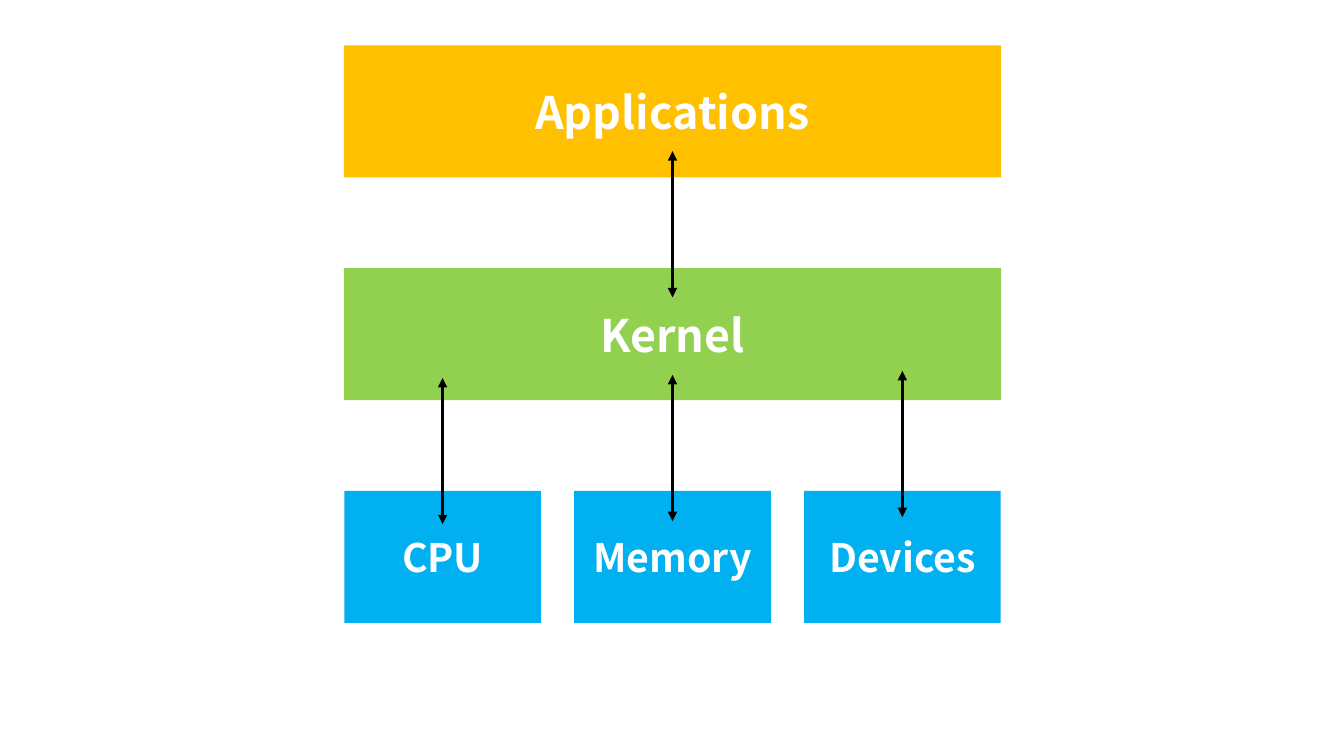
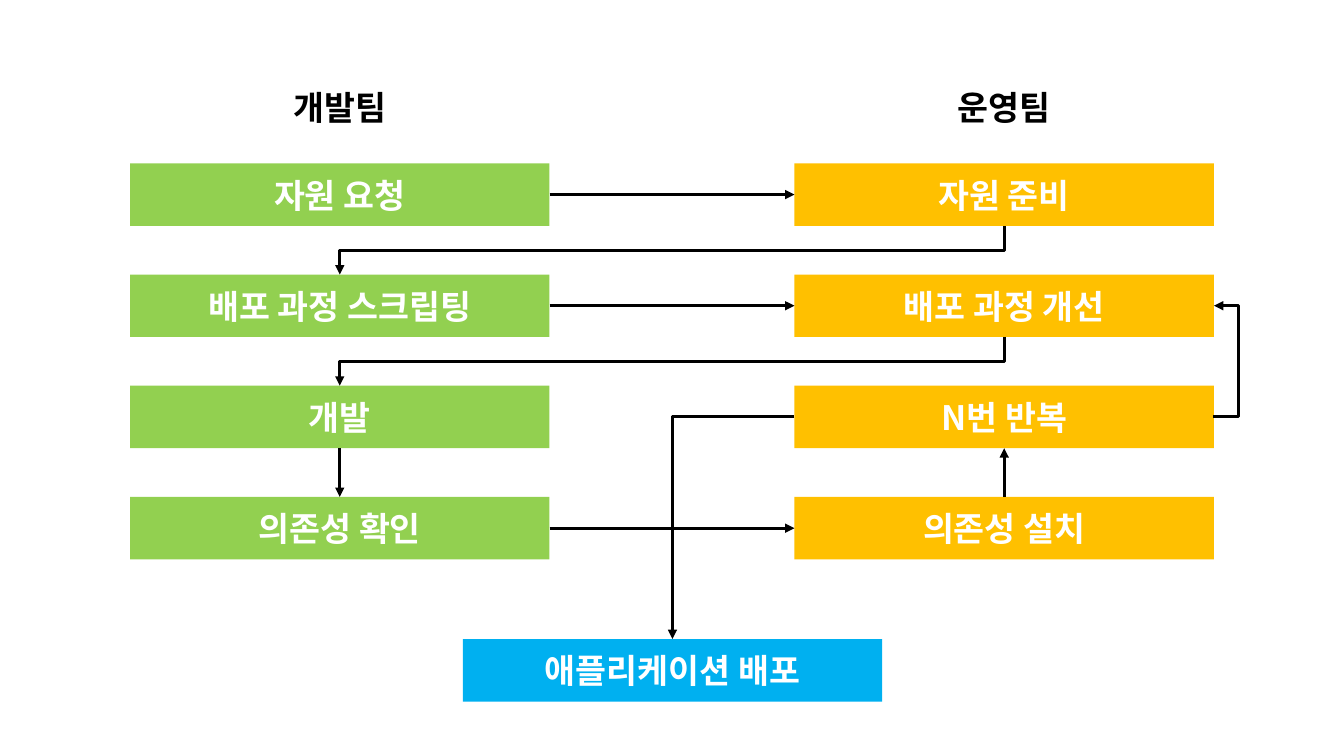
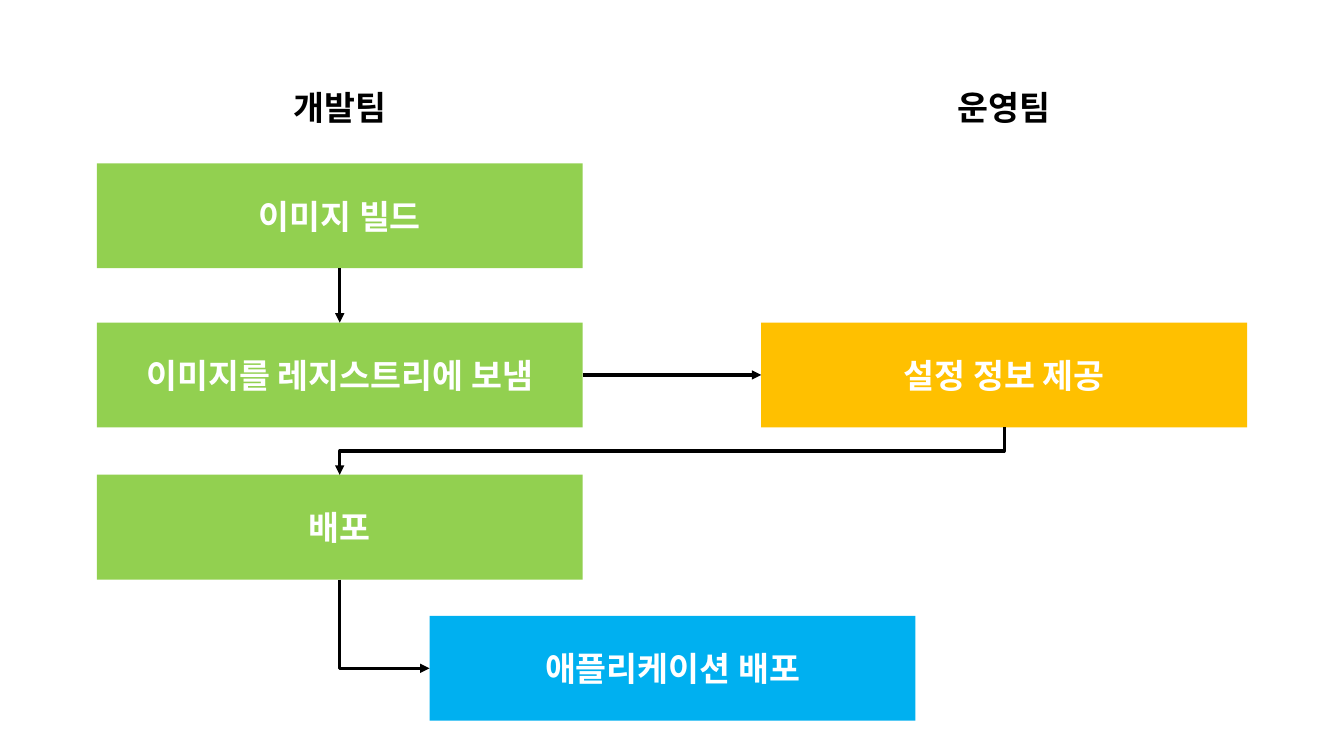
from lxml import etree
from pptx import Presentation, util as u
from pptx.dml.color import RGBColor
from pptx.enum import shapes, text
from pptx.oxml.ns import qn

# Shared look and columns
FONT = "Noto Sans CJK KR"
WHITE, BLACK = "FFFFFF", "000000"
AMBER, GREEN, BLUE = "FFC000", "92D050", "00B0F0"
DEV, MIDDLE, OPS = 3.37, 6.67, 9.96
TEAMS = (("개발팀", DEV), ("운영팀", OPS))

deck = Presentation()
deck.slide_width, deck.slide_height = u.Inches(13.33), u.Inches(7.5)


def add_box(page, words, fill, center, top, width, height, size=24):
    """Add a filled block, or a plain heading when fill is None."""
    place = [u.Inches(n) for n in (center - width / 2, top, width, height)]
    if fill:
        box = page.shapes.add_shape(shapes.MSO_SHAPE.RECTANGLE, *place)
        box.shadow.inherit = False
        box.fill.solid()
        box.fill.fore_color.rgb = RGBColor.from_string(fill)
        box.line.fill.background()
        box.text_frame.vertical_anchor = text.MSO_ANCHOR.MIDDLE
    else:
        box = page.shapes.add_textbox(*place)
        box.text_frame.auto_size = text.MSO_AUTO_SIZE.SHAPE_TO_FIT_TEXT
    box.text_frame.word_wrap = True
    para = box.text_frame.paragraphs[0]
    para.text = words
    para.alignment = text.PP_ALIGN.CENTER
    font = para.font
    font.size, font.bold, font.name = u.Pt(size), True, FONT
    font.color.rgb = RGBColor.from_string(WHITE if fill else BLACK)
    etree.SubElement(font._element, qn("a:ea"), typeface=FONT)


def add_arrow(page, start, end, route="straight", both=False, bulge=None):
    """Routes: straight, side (bulging out), across-down, down-across, down-across-down."""
    (x1, y1), (x2, y2) = start, end
    turned = route.startswith("down")
    if turned:  # the frame of a turned elbow has its sides swapped
        x, y = (x1 + x2) / 2, (y1 + y2) / 2
        wide, high = abs(y2 - y1) / 2, abs(x2 - x1) / 2
        if route == "down-across":
            wide = -wide
        x1, y1, x2, y2 = x - wide, y - high, x + wide, y + high
    kind = shapes.MSO_CONNECTOR.STRAIGHT if route == "straight" else shapes.MSO_CONNECTOR.ELBOW
    arrow = page.shapes.add_connector(kind, *[u.Inches(n) for n in (x1, y1, x2, y2)])
    arrow.line.width = u.Pt(2.25)
    arrow.line.color.rgb = RGBColor.from_string(BLACK)
    props = arrow.element.spPr
    geometry = props.find(qn("a:prstGeom"))
    if turned:
        degrees = 270 if route == "down-across" else 90
        props.find(qn("a:xfrm")).set("rot", str(degrees * 60000))
    if route in ("across-down", "down-across"):
        geometry.set("prst", "bentConnector2")
    if bulge:
        share = round(bulge / abs(x2 - x1) * 100000)
        etree.SubElement(geometry.find(qn("a:avLst")), qn("a:gd"), name="adj1", fmla=f"val {share}")
    line = props.find(qn("a:ln"))
    for tip in ("a:headEnd", "a:tailEnd") if both else ("a:tailEnd",):
        etree.SubElement(line, qn(tip), type="triangle")
    etree.SubElement(props, qn("a:effectLst"))


blank = deck.slide_layouts[6]
layers, manual, images = [deck.slides.add_slide(blank) for _ in range(3)]

# Slide 1: system layers
top, pitch, height, column = 0.45, 2.21, 1.31, 2.28
for row, (words, fill) in enumerate((("Applications", AMBER), ("Kernel", GREEN))):
    add_box(layers, words, fill, MIDDLE, top + row * pitch, 6.52, height, 32)
for side, words in zip((-1, 0, 1), ("CPU", "Memory", "Devices")):
    add_box(layers, words, BLUE, MIDDLE + side * column, top + 2 * pitch, 1.95, height, 28)
for side, y in ((0, 1.5), (-1, 3.75), (0, 3.72), (1, 3.68)):
    x = MIDDLE + side * column
    add_arrow(layers, (x, y), (x, y + 1.45), both=True)

# Team headings on slides 2 and 3
for page in (manual, images):
    for team, center in TEAMS:
        add_box(page, team, None, center, 0.81, 2.12, 0.5)

# Slide 2: manual deployment
width, height = 4.16, 0.62
tops = [1.62 + row * 3.31 / 3 for row in range(4)]
middles = [y + height / 2 for y in tops]
dev_right, ops_left, ops_right = DEV + width / 2, OPS - width / 2, OPS + width / 2
steps = (("자원 요청", "자원 준비"), ("배포 과정 스크립팅", "배포 과정 개선"),
         ("개발", "N번 반복"), ("의존성 확인", "의존성 설치"))
for y, (dev_step, ops_step) in zip(tops, steps):
    add_box(manual, dev_step, GREEN, DEV, y, width, height)
    add_box(manual, ops_step, AMBER, OPS, y, width, height)
add_box(manual, "애플리케이션 배포", BLUE, MIDDLE, 6.34, width, height)
for row in (0, 1, 3):
    add_arrow(manual, (dev_right, middles[row]), (ops_left, middles[row]))
for row in (0, 1):
    add_arrow(manual, (OPS, tops[row] + height), (DEV, tops[row + 1]), "down-across-down")
add_arrow(manual, (DEV, tops[2] + height), (DEV, tops[3]))
add_arrow(manual, (OPS, tops[3]), (OPS, tops[2] + height))
add_arrow(manual, (ops_right - 0.01, middles[2]), (ops_right, middles[1]), "side", bulge=0.26)
add_arrow(manual, (ops_left, middles[2]), (MIDDLE, 6.34), "across-down")

# Slide 3: image deployment
width, height = 4.82, 1.04
build, push, deploy, launch = 1.62, 3.2, 4.71, 6.11
for words, fill, center, y in (
        ("이미지 빌드", GREEN, DEV, build), ("이미지를 레지스트리에 보냄", GREEN, DEV, push),
        ("배포", GREEN, DEV, deploy), ("설정 정보 제공", AMBER, OPS, push),
        ("애플리케이션 배포", BLUE, MIDDLE, launch)):
    add_box(images, words, fill, center, y, width, height)
add_arrow(images, (DEV, build + height), (DEV, push))
add_arrow(images, (DEV + width / 2, push + height / 2), (OPS - width / 2, push + height / 2))
add_arrow(images, (OPS, push + height), (DEV, deploy), "down-across-down")
add_arrow(images, (DEV, deploy + height), (MIDDLE - width / 2, launch + height / 2), "down-across")

deck.save("out.pptx")
